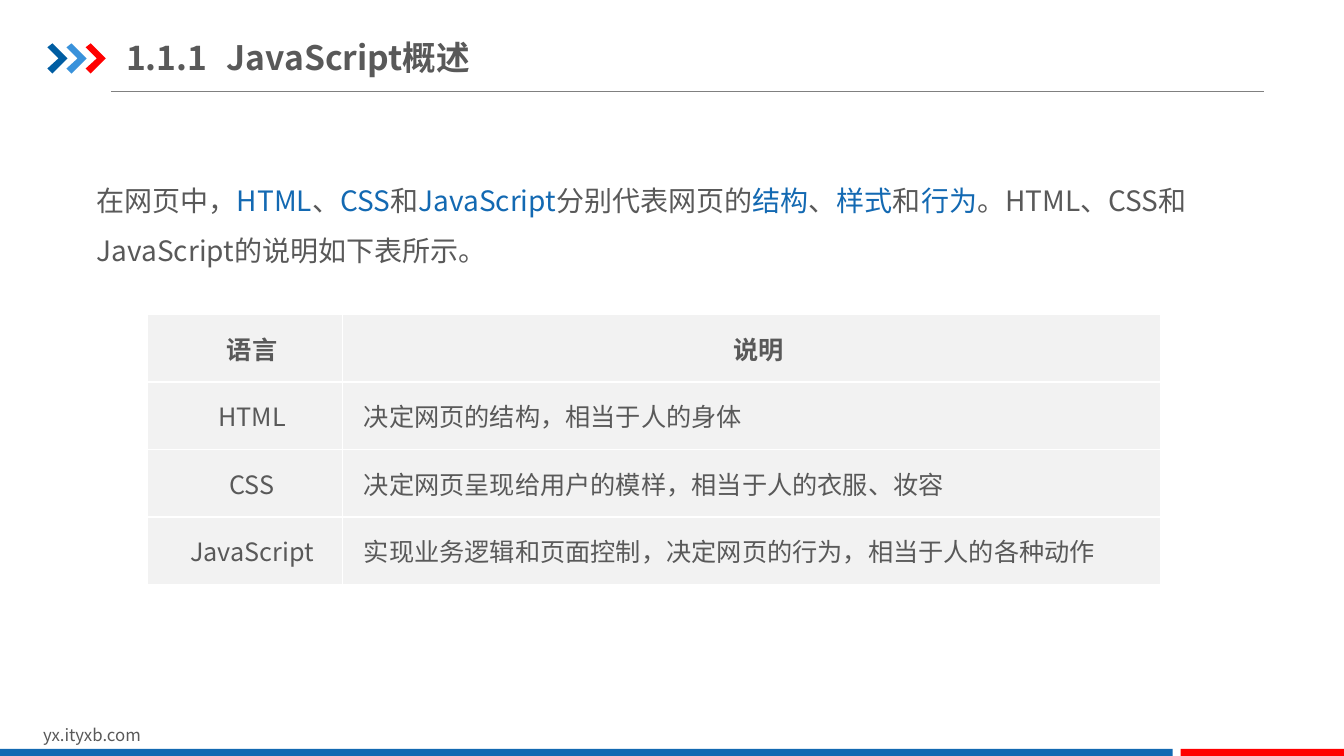
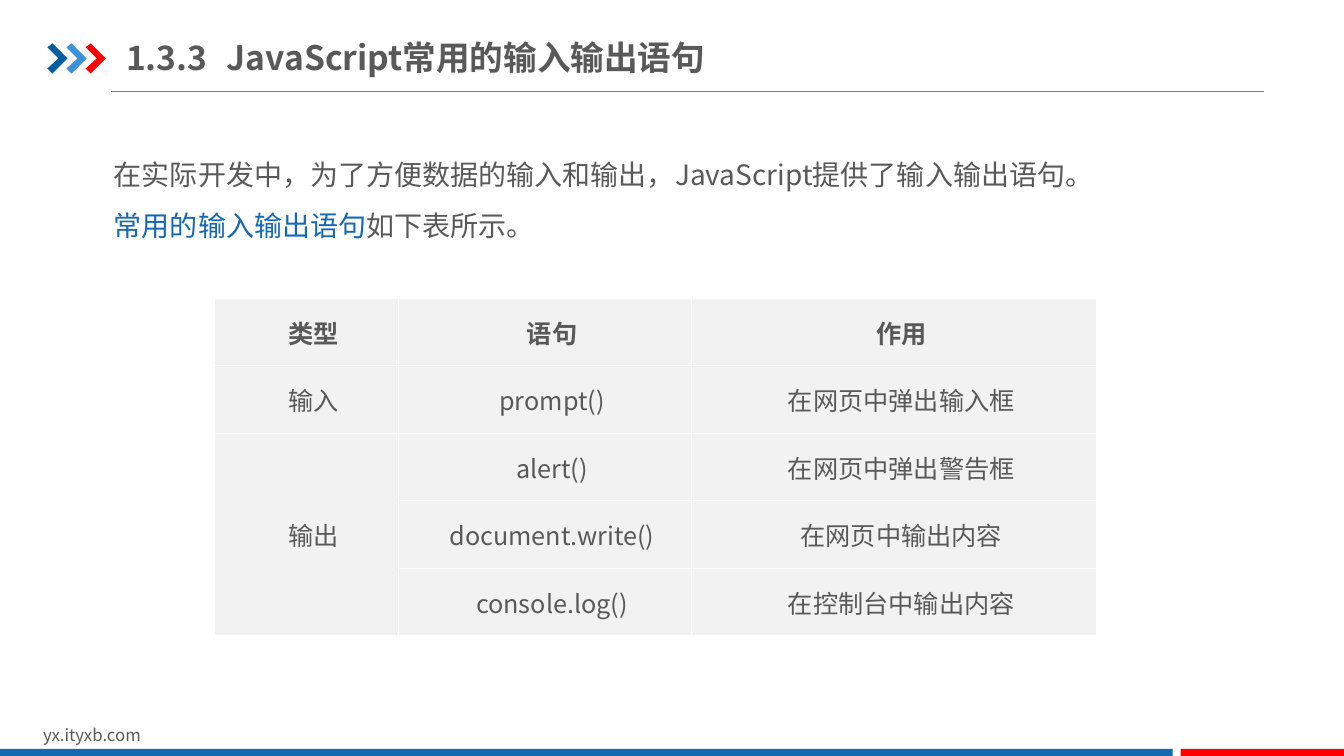
from lxml.etree import SubElement
from pptx import Presentation
from pptx.dml.color import RGBColor as Rgb
from pptx.enum.shapes import MSO_CONNECTOR as Link, MSO_SHAPE as Kind
from pptx.enum.text import MSO_ANCHOR as Anchor, MSO_AUTO_SIZE as Fit, PP_ALIGN as Align
from pptx.oxml.ns import qn
from pptx.util import Inches, Pt

FONT = "Noto Sans CJK SC"
COLORS = {
    "text": "595959", "blue": "1369B2", "navy": "005DA2", "sky": "3992DB",
    "red": "FF0000", "rule": "808080", "cell": "F2F2F2", "edge": "FFFFFF",
}
CHEVRON = [(0, 0.04), (0.05, 0), (0.2, 0.15), (0.05, 0.3), (0, 0.25), (0.11, 0.15)]


def color(name):
    """Return the named colour."""
    return Rgb.from_string(COLORS[name])


def style(run, size, bold=False, tint="text"):
    """Format one run of text."""
    font = run.font
    font.size, font.bold, font.name = Pt(size), bold, FONT
    font.color.rgb = color(tint)
    SubElement(run._r.get_or_add_rPr(), qn("a:ea"), typeface=FONT)


def paint(shape, tint):
    """Give a shape a plain fill without line or shadow."""
    shape.fill.solid()
    shape.fill.fore_color.rgb = color(tint)
    shape.line.fill.background()
    shape.shadow.inherit = False


def add_text(slide, box, lines, size, inset=(0.1, 0.05), space=None):
    """Add a wrapped text box; parts between asterisks turn blue."""
    frame = slide.shapes.add_textbox(*map(Inches, box)).text_frame
    frame.word_wrap = True
    frame.auto_size = Fit.SHAPE_TO_FIT_TEXT
    frame.margin_left = frame.margin_right = Inches(inset[0])
    frame.margin_top = frame.margin_bottom = Inches(inset[1])
    for i, line in enumerate(lines):
        para = frame.add_paragraph() if i else frame.paragraphs[0]
        para.line_spacing = space
        for j, part in enumerate(line.split("*")):
            if part:
                run = para.add_run()
                run.text = part
                style(run, size, tint="blue" if j % 2 else "text")


def add_title(slide, box, text):
    """Place the numbered title in its placeholder."""
    title = slide.shapes.title
    title.left, title.top, title.width, title.height = map(Inches, box)
    frame = title.text_frame
    frame.text = text
    frame.auto_size = Fit.NONE
    frame.vertical_anchor = Anchor.MIDDLE
    frame.margin_left = frame.margin_right = 0
    frame.margin_top = frame.margin_bottom = Inches(0.07)
    para = frame.paragraphs[0]
    para.alignment = Align.LEFT
    tabs = SubElement(para._p.get_or_add_pPr(), qn("a:tabLst"))
    SubElement(tabs, qn("a:tab"), pos=str(Inches(1)), algn="l")
    for run in para.runs:
        style(run, 24, bold=True)


def add_header(slide, left, top):
    """Draw the three chevrons and the rule below the title."""
    group = slide.shapes.add_group_shape()
    for i, tint in enumerate(("navy", "sky", "red")):
        points = [(Inches(left + 0.19 * i + x), Inches(top + y)) for x, y in CHEVRON]
        path = group.shapes.build_freeform(*points[0])
        path.add_line_segments(points[1:], close=True)
        paint(path.convert_to_shape(), tint)
    ends = (1.1, 0.91, 12.54, 0.91)
    rule = slide.shapes.add_connector(Link.STRAIGHT, *map(Inches, ends))
    rule.line.color.rgb = color("rule")
    rule.line.width = Pt(0.75)
    SubElement(rule._element.spPr, qn("a:effectLst"))


def add_footer(slide, top):
    """Draw the web address and the two bands at the bottom."""
    add_text(slide, (0.33, top, 3.18, 0.3), ["yx.ityxb.com"], 12)
    for left, width, tint in ((0, 11.63, "blue"), (11.71, 1.62, "red")):
        box = (left, top + 0.29, width, 0.09)
        paint(slide.shapes.add_shape(Kind.RECTANGLE, *map(Inches, box)), tint)


def fill_cell(cell, text, bold, align):
    """Write and format one table cell."""
    cell.margin_left = cell.margin_right = Inches(0.07)
    cell.margin_top = cell.margin_bottom = 0
    cell.vertical_anchor = Anchor.MIDDLE
    props = cell._tc.get_or_add_tcPr()
    for side in ("lnL", "lnR", "lnT", "lnB"):
        line = SubElement(props, qn("a:" + side), w=str(Pt(1)))
        fill = SubElement(line, qn("a:solidFill"))
        SubElement(fill, qn("a:srgbClr"), val=COLORS["edge"])
    cell.fill.solid()
    cell.fill.fore_color.rgb = color("cell")
    cell.text_frame.text = text
    para = cell.text_frame.paragraphs[0]
    para.alignment = align
    para._p.get_or_add_pPr().set("indent", str(Inches(0.14)))
    for run in para.runs:
        style(run, 18, bold)


def add_grid(slide, left, top, widths, rows, flush=()):
    """Add a table; columns listed in flush are left-aligned below the header."""
    box = (left, top, sum(widths), 0.67 * len(rows))
    table = slide.shapes.add_table(len(rows), len(widths), *map(Inches, box)).table
    table.first_row = table.horz_banding = False
    for col, width in zip(table.columns, widths):
        col.width = Inches(width)
    for i, row in enumerate(rows):
        table.rows[i].height = Inches(0.67)
        for j, text in enumerate(row):
            align = Align.LEFT if i and j in flush else Align.CENTER
            fill_cell(table.cell(i, j), text, i == 0, align)
    return table


def add_page(deck, title, width):
    """Add a slide with the shared header, title and footer."""
    slide = deck.slides.add_slide(deck.slide_layouts[5])
    add_header(slide, 0.47, 0.43)
    add_footer(slide, 7.14)
    add_title(slide, (1.25, 0.29, width, 0.55), title)
    return slide


def add_intro(deck):
    """Build the slide on the three web languages."""
    slide = add_page(deck, "1.1.1\tJavaScript概述", 4.26)
    text = ("在网页中，*HTML*、*CSS*和*JavaScript*分别代表网页的*结构*、*样式*和*行为*。"
            "HTML、CSS和JavaScript的说明如下表所示。")
    add_text(slide, (0.86, 1.6, 11.23, 1.11), [text], 20, space=1.5)
    rows = [
        ("语言", "说明"),
        ("HTML", "决定网页的结构，相当于人的身体"),
        ("CSS", "决定网页呈现给用户的模样，相当于人的衣服、妆容"),
        ("JavaScript", "实现业务逻辑和页面控制，决定网页的行为，相当于人的各种动作"),
    ]
    add_grid(slide, 1.46, 3.12, (1.94, 8.11), rows, flush=(1,))


def add_calls(deck):
    """Build the slide on input and output statements."""
    slide = add_page(deck, "1.3.3\tJavaScript常用的输入输出语句", 5.89)
    lines = ["在实际开发中，为了方便数据的输入和输出，JavaScript提供了输入输出语句。",
             "*常用的输入输出语句*如下表所示。"]
    add_text(slide, (1, 1.33, 11.34, 1.08), lines, 20, (0.13, 0.07), 1.5)
    rows = [
        ("类型", "语句", "作用"),
        ("输入", "prompt()", "在网页中弹出输入框"),
        ("输出", "alert()", "在网页中弹出警告框"),
        ("", "document.write()", "在网页中输出内容"),
        ("", "console.log()", "在控制台中输出内容"),
    ]
    table = add_grid(slide, 2.13, 2.96, (1.82, 2.91, 4.02), rows)
    table.cell(2, 0).merge(table.cell(4, 0))


def main():
    """Build and save the deck."""
    deck = Presentation()
    deck.slide_width, deck.slide_height = Inches(13.33), Inches(7.5)
    add_intro(deck)
    add_calls(deck)
    deck.save("out.pptx")


if __name__ == "__main__":
    main()
